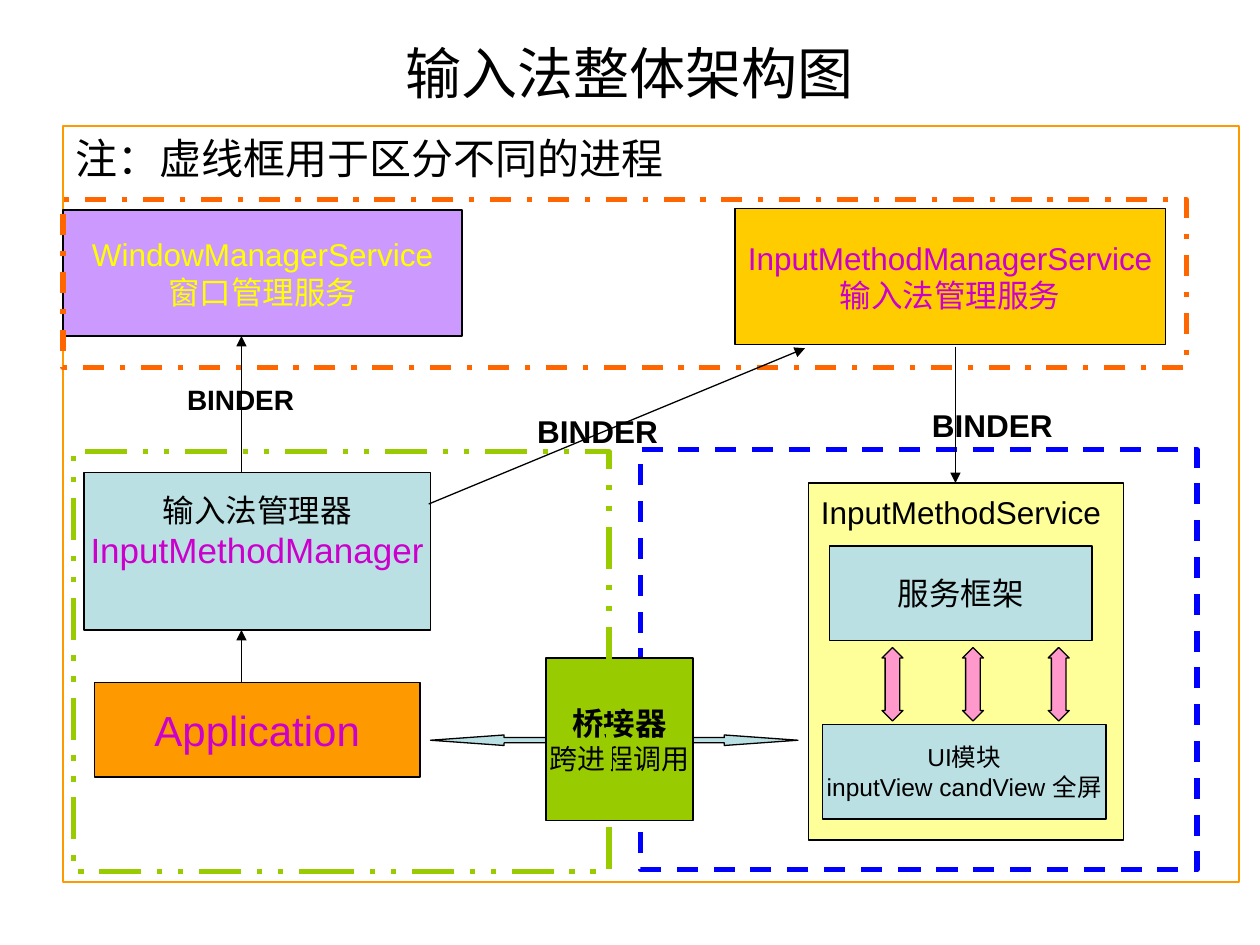
from collections import namedtuple

from lxml import etree
from pptx import Presentation
from pptx import util as u
from pptx.dml.color import RGBColor
from pptx.enum import dml, shapes, text
from pptx.oxml import ns

Pt = u.Pt
Box = namedtuple("Box", "left top width height")
FONT = "Arial"
COLORS = {
    "black": "000000", "magenta": "CC00CC", "yellow": "FFFF00",
    "teal": "BBE0E3", "orange": "FF9900", "gold": "FFCC00",
    "lilac": "CC99FF", "cream": "FFFF99", "pink": "FF99CC",
    "green": "99CC00", "blue": "0000FF", "red_orange": "FF6600",
}
DASH = dml.MSO_LINE_DASH_STYLE
KIND = shapes.MSO_SHAPE
CENTER = text.PP_ALIGN.CENTER
MIDDLE = text.MSO_ANCHOR.MIDDLE


def color(name):
    return RGBColor.from_string(COLORS[name])


def inside(box, left, top, width, height):
    return Box(box.left + left, box.top + top, width, height)


def points(box):
    return [Pt(value) for value in box]


def write(shape, lines, align=CENTER, anchor=MIDDLE, wrap=False):
    frame = shape.text_frame
    frame.text = "\n".join(line[0] for line in lines)
    frame.word_wrap = wrap
    frame.auto_size = text.MSO_AUTO_SIZE.NONE
    frame.vertical_anchor = anchor
    for para, (_, size, ink, bold) in zip(frame.paragraphs, lines):
        para.alignment = align
        font = para.runs[0].font
        font.name, font.size, font.bold = FONT, Pt(size), bold
        font.color.rgb = color(ink)
    return frame


def add_block(page, box, fill, lines=(), kind=KIND.RECTANGLE, **layout):
    block = page.shapes.add_shape(kind, *points(box))
    block.shadow.inherit = False
    block.fill.solid()
    block.fill.fore_color.rgb = color(fill)
    block.line.color.rgb = color("black")
    block.line.width = Pt(0.75)
    if lines:
        write(block, lines, **layout)
    return block


def add_process_frame(page, box, ink, dash):
    frame = page.shapes.add_shape(KIND.RECTANGLE, *points(box))
    frame.shadow.inherit = False
    frame.fill.background()
    frame.line.color.rgb = color(ink)
    frame.line.width = Pt(3)
    frame.line.dash_style = dash


def add_arrow(page, start, end):
    arrow = page.shapes.add_connector(
        shapes.MSO_CONNECTOR.STRAIGHT, *points(start + end))
    arrow.line.color.rgb = color("black")
    arrow.line.width = Pt(0.75)
    line = arrow.line._get_or_add_ln()
    etree.SubElement(line, ns.qn("a:tailEnd"), type="triangle")
    etree.SubElement(arrow._element.spPr, ns.qn("a:effectLst"))


def add_label(page, box, size):
    label = page.shapes.add_textbox(*points(box))
    write(label, [("BINDER", size, "black", True)])


def place(shape, box):
    shape.left, shape.top, shape.width, shape.height = points(box)


def draw_heading(page, title_box, body_box):
    title, body = page.shapes.title, page.placeholders[1]
    place(title, title_box)
    write(title, [("输入法整体架构图", 32, "black", False)], wrap=True)
    place(body, body_box)
    body.line.color.rgb = color("orange")
    body.line.width = Pt(0.75)
    frame = write(body, [("注：虚线框用于区分不同的进程", 24, "black", False)],
                  align=text.PP_ALIGN.LEFT, anchor=text.MSO_ANCHOR.TOP, wrap=True)
    para = frame.paragraphs[0]
    para.space_before = Pt(6)
    properties = para._p.get_or_add_pPr()
    properties.set("marL", str(Pt(27)))
    properties.set("indent", str(-Pt(27)))
    etree.SubElement(properties, ns.qn("a:buNone"))


def draw_input_process(page, box):
    add_process_frame(page, box, "blue", DASH.DASH)
    service = inside(box, 96, 19, 180, 204)
    block = add_block(page, service, "cream",
                      [("InputMethodService", 18, "black", False)],
                      align=text.PP_ALIGN.LEFT, anchor=text.MSO_ANCHOR.TOP)
    block.text_frame.margin_top = Pt(5.5)
    add_block(page, inside(service, 12, 36, 150, 54), "teal",
              [("服务框架", 18, "black", False)])
    add_block(page, inside(service, 8, 138, 162, 54), "teal",
              [("UI模块", 14, "black", False),
               ("inputView candView 全屏", 14, "black", False)])
    for left in (42, 88, 137):
        arrow = add_block(page, inside(service, left, 94, 12, 42), "pink",
                          kind=KIND.UP_DOWN_ARROW)
        arrow.adjustments[0], arrow.adjustments[1] = 0.5, 0.7


def draw_bridge(page, box):
    arrow = add_block(page, inside(box, 0, 44, box.width, 6), "teal",
                      kind=KIND.LEFT_RIGHT_ARROW)
    arrow.adjustments[0], arrow.adjustments[1] = 0.5, 7
    add_block(page, inside(box, 66, 0, 84, box.height), "green",
              [("桥接器", 18, "black", True), ("跨进程调用", 16, "black", False)])


def draw_client_process(page, box):
    manager = add_block(page, inside(box, 6, 12, 198, 90), "teal",
                        [("输入法管理器", 18, "black", False),
                         ("InputMethodManager", 20, "magenta", False)])
    manager.text_frame.margin_bottom = Pt(27)
    add_block(page, inside(box, 12, 132, 186, 54), "orange",
              [("Application", 24, "magenta", False)])
    add_arrow(page, (box.left + 96, box.top + 132), (box.left + 96, box.top + 102))
    add_process_frame(page, box, "green", DASH.DASH_DOT_DOT)


def draw_system_process(page, box):
    add_block(page, inside(box, 0, 6, 228, 72), "lilac",
              [("WindowManagerService", 18, "yellow", False),
               ("窗口管理服务", 18, "yellow", False)])
    add_block(page, inside(box, 384, 5, 246, 78), "gold",
              [("InputMethodManagerService", 18, "magenta", False),
               ("输入法管理服务", 18, "magenta", False)])
    add_process_frame(page, box, "red_orange", DASH.DASH_DOT)


def draw_binder_links(page, box):
    links = [
        ((102, 78), (102, 0), (60, 18, 83, 36), 16),
        ((209, 96), (424, 7), (264, 36, 83, 36), 18),
        ((510, 6), (510, 84), (474, 30, 114, 42), 18),
    ]
    for start, end, label, size in links:
        add_arrow(page, *((box.left + x, box.top + y) for x, y in (start, end)))
        add_label(page, inside(box, *label), size)


def main():
    deck = Presentation()
    deck.slide_width, deck.slide_height = Pt(720), Pt(540)
    page = deck.slides.add_slide(deck.slide_layouts[1])
    draw_heading(page, Box(36, 22, 648, 38), Box(36, 72, 672, 432))
    draw_input_process(page, Box(366, 257, 318, 240))
    draw_bridge(page, Box(246, 376, 210, 93))
    draw_client_process(page, Box(42, 258, 306, 240))
    draw_system_process(page, Box(36, 114, 642, 96))
    draw_binder_links(page, Box(36, 192, 642, 84))
    deck.save("out.pptx")


if __name__ == "__main__":
    main()
